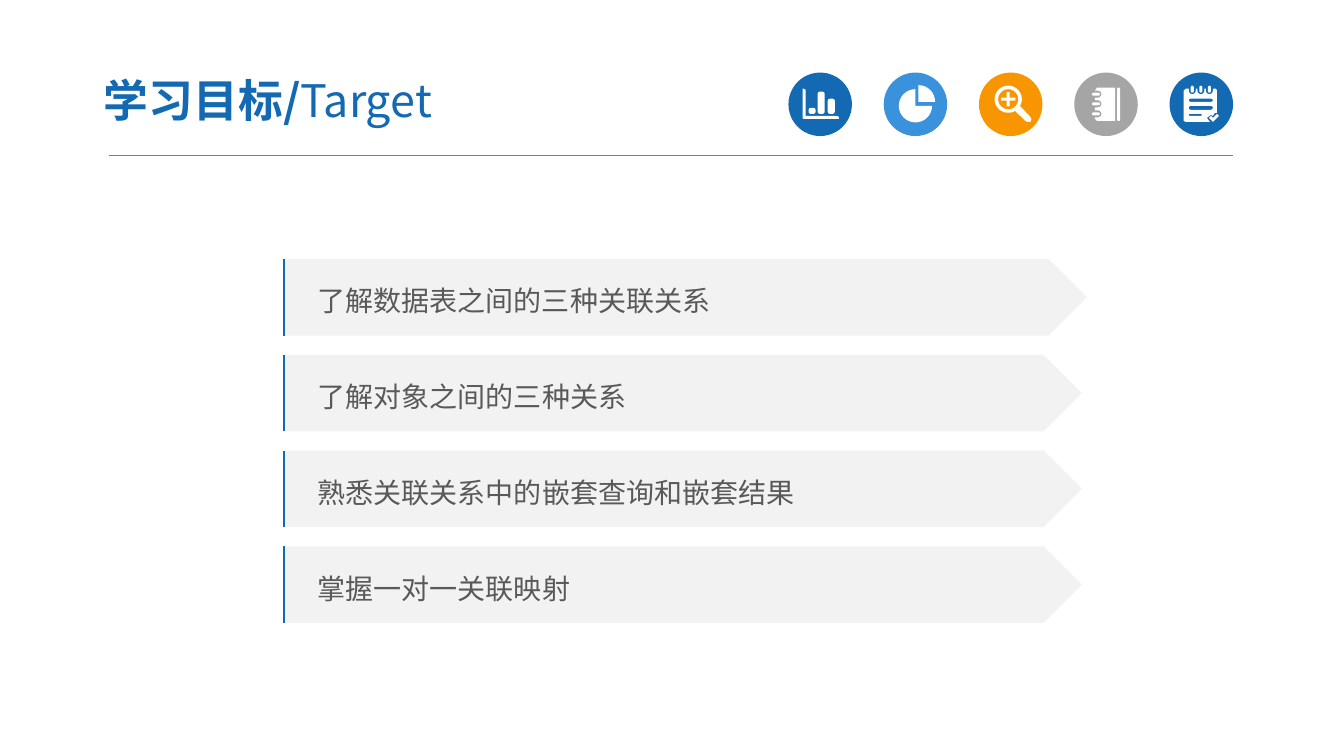
import math

import pptx
import pptx.dml.color
import pptx.enum.shapes
import pptx.enum.text
import pptx.oxml.ns
import pptx.util
from lxml import etree

Inches = pptx.util.Inches
Pt = pptx.util.Pt
PRESET = pptx.enum.shapes.MSO_SHAPE

FONT = "Noto Sans CJK SC"
BLUE, SKY, ORANGE, GRAY = "1369B2", "3992DB", "F79600", "A5A5A5"
WHITE, BAND, BODY, RULE = "FFFFFF", "F2F2F2", "595959", "7F7F7F"

TITLE = [("学习目标/", True), ("Target", False)]
# Text and banner width
GOALS = [
    ("了解数据表之间的三种关联关系", 7.97),
    ("了解对象之间的三种关系", 7.92),
    ("熟悉关联关系中的嵌套查询和嵌套结果", 7.92),
    ("掌握一对一关联映射", 7.92),
]
GOAL_LEFT, GOAL_TOP, GOAL_HEIGHT, GOAL_STEP = 2.81, 2.57, 0.76, 0.95
ICON_LEFT, ICON_TOP, ICON_SIZE, ICON_STEP = 7.82, 0.72, 0.63, 0.945

# Rounded boxes: left, top, width, height, corner radius
CHART_BARS = [
    (8.02, 1.07, 0.07, 0.06, 0.02),
    (8.11, 0.91, 0.07, 0.22, 0.02),
    (8.21, 0.98, 0.07, 0.15, 0.02),
]
CHART_AXES = [(7.96, 0.88), (7.97, 0.88), (7.99, 0.89), (7.99, 1.15), (8.3, 1.15),
              (8.32, 1.16), (8.32, 1.18), (7.97, 1.18), (7.96, 1.17)]
HANDLE = [(10.21, 1.15), (10.23, 1.18), (10.22, 1.21), (10.19, 1.21), (10.17, 1.2)]
PLUS_CENTER, PLUS_REACH, PLUS_HALF = (10, 0.985), 0.07, 0.015
NOTEBOOK_SPINE = (11.08, 0.87, 0.03, 0.33, 0.01)
NOTEBOOK_RINGS = [0.935, 1.03, 1.13]
NOTEPAD_RINGS = [11.825, 11.91, 11.995]
NOTEPAD_LINES = [
    (11.79, 0.98, 0.24, 0.03, 0.015),
    (11.79, 1.05, 0.24, 0.04, 0.02),
    (11.79, 1.13, 0.13, 0.02, 0.01),
]
NOTEPAD_EDGE = [(12.06, 0.88), (12.07, 0.9), (12.07, 1.12), (12.05, 1.12),
                (12.03, 1.15), (12.01, 1.14), (11.97, 1.17), (12, 1.21),
                (11.76, 1.21), (11.74, 1.2), (11.74, 0.9), (11.76, 0.88)]
TICK = [(11.99, 1.17), (12.01, 1.15), (12.03, 1.17),
        (12.07, 1.13), (12.09, 1.15), (12.03, 1.21)]


def arc(x, y, radius, start, end, steps):
    """Points on a circle; angles in degrees, clockwise from the right."""
    angles = [math.radians(start + (end - start) * i / steps) for i in range(steps + 1)]
    return [(x + radius * math.cos(a), y + radius * math.sin(a)) for a in angles]


def rounded(left, top, width, height, radius):
    right, bottom = left + width - radius, top + height - radius
    corners = [(right, bottom), (left + radius, bottom),
               (left + radius, top + radius), (right, top + radius)]
    return [point for turn, (x, y) in enumerate(corners)
            for point in arc(x, y, radius, 90 * turn, 90 * turn + 90, 2)]


def plus(x, y, reach, half):
    quarter = [(reach, -half), (reach, half), (half, half)]
    points = []
    for _ in range(4):
        points += [(x + across, y + down) for across, down in quarter]
        quarter = [(-down, across) for across, down in quarter]
    return points


def notebook():
    cover = [(10.88, 0.87)]
    for y in NOTEBOOK_RINGS:
        cover += [(10.86, y - 0.035), *arc(10.89, y, 0.035, -90, 90, 6), (10.86, y + 0.035)]
    cover += [(10.86, 1.18), (10.88, 1.2), (11.06, 1.2), (11.06, 0.87)]
    rings = [rounded(10.83, y - 0.015, 0.08, 0.03, 0.015) for y in NOTEBOOK_RINGS]
    return [cover, rounded(*NOTEBOOK_SPINE), *rings]


def notepad():
    sheet = []
    for x in NOTEPAD_RINGS:
        sheet += [(x - 0.035, 0.88), *arc(x, 0.9, 0.035, 180, 0, 6), (x + 0.035, 0.88)]
    rings = [rounded(x - 0.015, 0.85, 0.03, 0.07, 0.015) for x in NOTEPAD_RINGS]
    return [sheet + NOTEPAD_EDGE, *map(lambda line: rounded(*line), NOTEPAD_LINES),
            *rings, TICK]


# Disc colour and the outlines drawn on it
ICONS = [
    (BLUE, [CHART_AXES, *[rounded(*bar) for bar in CHART_BARS]]),
    (SKY, [[(9.11, 1.01), *arc(9.11, 1.01, 0.165, -90, 0, 8)],
           [(9.08, 1.05), *arc(9.08, 1.05, 0.165, 0, 270, 24)]]),
    (ORANGE, [arc(10, 0.985, 0.135, 60, 390, 28) + HANDLE,
              arc(10, 0.985, 0.1, 0, 345, 23),
              plus(*PLUS_CENTER, PLUS_REACH, PLUS_HALF)]),
    (GRAY, notebook()),
    (BLUE, notepad()),
]


def color(value):
    return pptx.dml.color.RGBColor.from_string(value)


def set_values(target, values):
    for name, value in values.items():
        setattr(target, name, value)


def paint(shape, fill):
    """Give the shape a plain fill with no line or shadow."""
    shape.shadow.inherit = False
    shape.fill.solid()
    shape.fill.fore_color.rgb = color(fill)
    shape.line.fill.background()


def add_preset(slide, preset, box, fill):
    shape = slide.shapes.add_shape(preset, *map(Inches, box))
    paint(shape, fill)
    return shape


def add_outlines(slide, outlines, fill):
    """Draw closed outlines as one shape; an inner outline cuts a hole."""
    scaled = [[(Inches(x), Inches(y)) for x, y in outline] for outline in outlines]
    builder = slide.shapes.build_freeform(*scaled[0][0])
    for index, points in enumerate(scaled):
        if index:
            builder.move_to(*points[0])
        builder.add_line_segments(points[1:], close=True)
    paint(builder.convert_to_shape(), fill)


def add_line(slide, start, end, stroke, width):
    line = slide.shapes.add_connector(
        pptx.enum.shapes.MSO_CONNECTOR.STRAIGHT, *map(Inches, start + end))
    line.line.color.rgb = color(stroke)
    line.line.width = Pt(width)
    etree.SubElement(line._element.spPr, pptx.oxml.ns.qn("a:effectLst"))


def add_run(paragraph, text, size, fill, bold=False):
    run = paragraph.add_run()
    run.text = text
    set_values(run.font, {"name": FONT, "size": Pt(size), "bold": bold})
    run.font.color.rgb = color(fill)
    east_asian = etree.SubElement(run.font._element, pptx.oxml.ns.qn("a:ea"))
    east_asian.set("typeface", FONT)


def add_title(slide):
    box = slide.shapes.add_textbox(*map(Inches, (0.9, 0.63, 5.22, 0.72)))
    set_values(box.text_frame, {
        "word_wrap": True,
        "vertical_anchor": pptx.enum.text.MSO_ANCHOR.MIDDLE,
        "margin_left": Inches(0.13), "margin_right": Inches(0.13),
        "margin_top": Inches(0.07), "margin_bottom": Inches(0.07),
    })
    for text, bold in TITLE:
        add_run(box.text_frame.paragraphs[0], text, 32, BLUE, bold)


def add_icons(slide):
    for index, (fill, outlines) in enumerate(ICONS):
        left = ICON_LEFT + index * ICON_STEP
        add_preset(slide, PRESET.OVAL, (left, ICON_TOP, ICON_SIZE, ICON_SIZE), fill)
        add_outlines(slide, outlines, WHITE)


def add_goals(slide):
    for index, (text, width) in enumerate(GOALS):
        top = GOAL_TOP + index * GOAL_STEP
        banner = add_preset(slide, PRESET.PENTAGON,
                            (GOAL_LEFT, top, width, GOAL_HEIGHT), BAND)
        set_values(banner.text_frame, {
            "word_wrap": True,
            "vertical_anchor": pptx.enum.text.MSO_ANCHOR.MIDDLE,
            "margin_left": Inches(0.34),
        })
        paragraph = banner.text_frame.paragraphs[0]
        set_values(paragraph, {"alignment": pptx.enum.text.PP_ALIGN.LEFT,
                               "line_spacing": 1.2})
        add_run(paragraph, text, 20, BODY)
        edge = GOAL_LEFT + 0.01
        add_line(slide, (edge, top + GOAL_HEIGHT), (edge, top), BLUE, 1.5)


def main():
    presentation = pptx.Presentation()
    set_values(presentation, {"slide_width": Inches(13.33), "slide_height": Inches(7.5)})
    slide = presentation.slides.add_slide(presentation.slide_layouts[6])
    add_line(slide, (1.08, 1.54), (12.23, 1.54), RULE, 0.5)
    add_icons(slide)
    add_title(slide)
    add_goals(slide)
    presentation.save("out.pptx")


if __name__ == "__main__":
    main()
